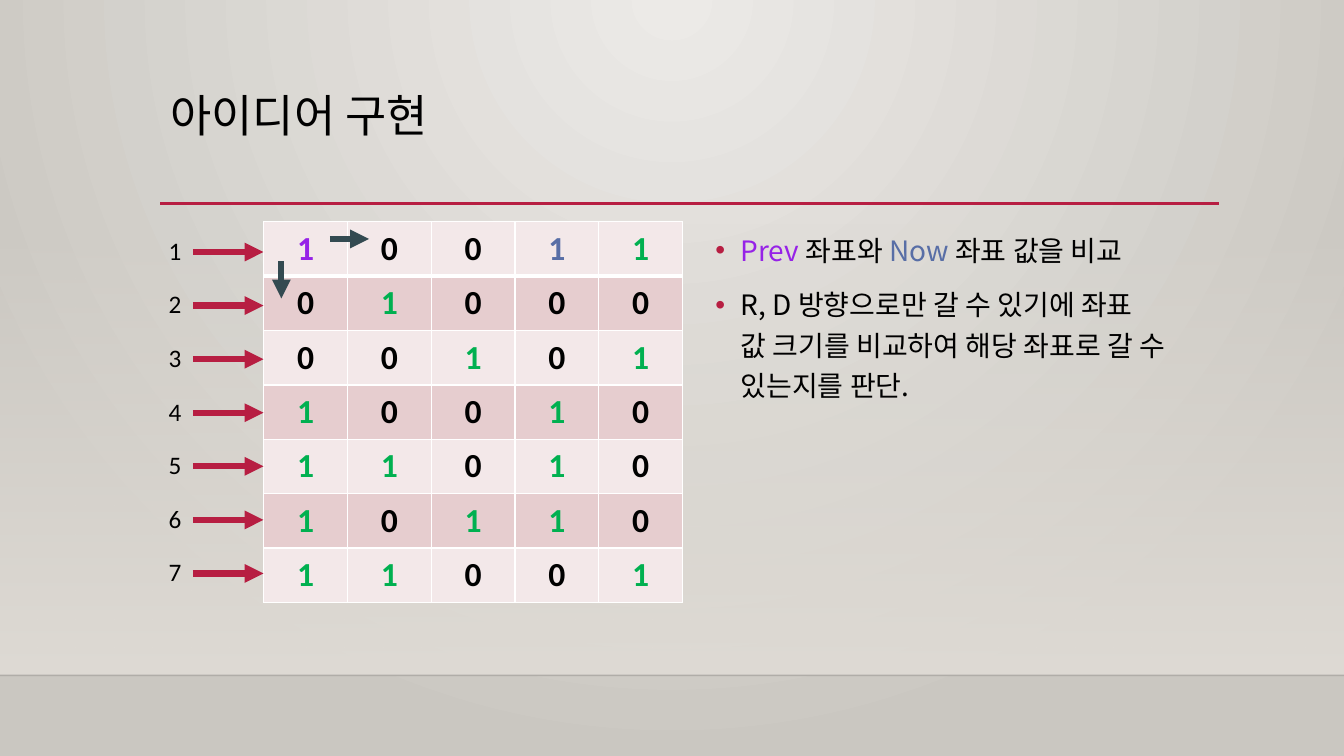
from lxml import etree
from pptx import Presentation
from pptx import util as u
from pptx.dml.color import RGBColor
from pptx.enum import shapes, text
from pptx.oxml.ns import qn

KOREAN, LATIN = "Noto Sans CJK KR", "Calibri"
BLACK, WHITE, RED, SLATE = "000000", "FFFFFF", "B71E42", "334A51"
PURPLE, BLUE, GREEN = "9622E7", "586EA6", "00B050"
PALE, ROSE = "F3E8E9", "E6CDCF"
MAZE = ["10011", "01000", "00101", "10010", "11010", "10110", "11001"]
MARKED = {(0, 0): PURPLE, (0, 3): BLUE}
NOTES = [
    [("Prev ", PURPLE), ("좌표와 ", BLACK), ("Now ", BLUE), ("좌표 값을 비교", BLACK)],
    [("R, D 방향으로만 갈 수 있기에 좌표", BLACK), None,
     ("값 크기를 비교하여 해당 좌표로 갈 수 있는지를 판단.", BLACK)],
]


def rgb(color):
    return RGBColor.from_string(color)


def sub(parent, tag, **attrs):
    el = etree.SubElement(parent, qn(tag))
    for name, value in attrs.items():
        el.set(name, str(value))
    return el


def add_run(p, words, size, font, color, bold=False):
    r = p.add_run()
    r.text = words
    r.font.size = u.Pt(size)
    r.font.name = font
    r.font.bold = bold
    r.font.color.rgb = rgb(color)
    sub(r.font._element, "a:ea", typeface=font)


def set_gradient(fill, stops):
    fill.gradient()
    grad = fill._xPr.find(qn("a:gradFill"))
    for child in list(grad):
        grad.remove(child)
    gs_lst = sub(grad, "a:gsLst")
    for pos, color, alpha in stops:
        gs = sub(gs_lst, "a:gs", pos=pos * 1000)
        clr = sub(gs, "a:srgbClr", val=color)
        sub(clr, "a:alpha", val=alpha * 1000)
    return grad


def add_backdrop(s):
    grad = set_gradient(s.background.fill, [(0, "ECEAE7", 100), (100, "CAC7C1", 100)])
    circle = sub(grad, "a:path", path="circle")
    sub(circle, "a:fillToRect", l=43000, t=0, r=43000, b=100000)
    sp = s.shapes.add_shape(shapes.MSO_SHAPE.RECTANGLE, 0, u.Cm(5.61), u.Cm(33.87), u.Cm(11.41))
    sp.shadow.inherit = False
    sp.line.fill.background()
    grad = set_gradient(sp.fill, [(0, "DFDBD5", 0), (100, "DFDBD5", 100)])
    sub(grad, "a:lin", ang=90 * 60000, scaled=0)


def add_line(s, x1, y1, x2, y2, color, width, arrow=False, alpha=None):
    cx = s.shapes.add_connector(shapes.MSO_CONNECTOR.STRAIGHT,
                                u.Cm(x1), u.Cm(y1), u.Cm(x2), u.Cm(y2))
    cx.line.color.rgb = rgb(color)
    cx.line.width = u.Pt(width)
    ln = cx.line._get_or_add_ln()
    if alpha:
        sub(ln.find(".//" + qn("a:srgbClr")), "a:alpha", val=alpha * 1000)
    if arrow:
        sub(ln, "a:tailEnd", type="triangle")
    sub(cx._element.spPr, "a:effectLst")


def set_title(s, words):
    sp = s.shapes.title
    sp.left, sp.top, sp.width, sp.height = u.Cm(4.04), u.Cm(2.24), u.Cm(26.67), u.Cm(2.92)
    tf = sp.text_frame
    tf.auto_size = text.MSO_AUTO_SIZE.NONE
    tf.vertical_anchor = text.MSO_ANCHOR.TOP
    p = tf.paragraphs[0]
    p.alignment = text.PP_ALIGN.LEFT
    p.line_spacing = 0.9
    add_run(p, words, 32, KOREAN, BLACK)


def add_notes(s, notes):
    tf = s.shapes.add_textbox(u.Cm(17.78), u.Cm(5.59), u.Cm(12.93), u.Cm(9.58)).text_frame
    tf.word_wrap = True
    for i, note in enumerate(notes):
        p = tf.add_paragraph() if i else tf.paragraphs[0]
        p.line_spacing = 1.2
        p.space_before = u.Pt(10)
        pPr = p._p.get_or_add_pPr()
        pPr.set("marL", str(u.Inches(0.25)))
        pPr.set("indent", str(-u.Inches(0.25)))
        sub(sub(pPr, "a:buClr"), "a:srgbClr", val=RED)
        sub(pPr, "a:buFont", typeface="Arial")
        sub(pPr, "a:buChar", char="•")
        for piece in note:
            if piece is None:
                p.add_line_break()
            else:
                add_run(p, piece[0], 20, KOREAN, piece[1])


def set_borders(cell, top, bottom):
    tcPr = cell._tc.get_or_add_tcPr()
    for side, width in (("L", 1), ("R", 1), ("T", top), ("B", bottom)):
        ln = sub(tcPr, "a:ln" + side, w=u.Pt(width))
        sub(sub(ln, "a:solidFill"), "a:srgbClr", val=WHITE)


def add_maze(s, maze):
    rows, cols = len(maze), len(maze[0])
    tbl = s.shapes.add_table(rows, cols, u.Cm(6.65), u.Cm(5.59),
                             u.Cm(2.11 * cols), u.Cm(1.37 * rows)).table
    tbl.first_row = tbl.horz_banding = False
    for i, digits in enumerate(maze):
        for j, digit in enumerate(digits):
            cell = tbl.cell(i, j)
            set_borders(cell, 3 if i == 1 else 1, 3 if i == 0 else 1)
            cell.fill.solid()
            cell.fill.fore_color.rgb = rgb(ROSE if i % 2 else PALE)
            cell.margin_left = cell.margin_right = u.Cm(0.33)
            cell.margin_top = cell.margin_bottom = u.Cm(0.17)
            p = cell.text_frame.paragraphs[0]
            p.alignment = text.PP_ALIGN.CENTER
            color = MARKED.get((i, j), GREEN if digit == "1" else BLACK)
            add_run(p, digit, 24, LATIN, color, bold=True)


def add_row_label(s, words, top):
    tf = s.shapes.add_textbox(u.Cm(4), u.Cm(top), u.Cm(0.84), u.Cm(1.02)).text_frame
    tf.word_wrap = False
    tf.auto_size = text.MSO_AUTO_SIZE.SHAPE_TO_FIT_TEXT
    add_run(tf.paragraphs[0], words, 18, LATIN, BLACK)


def main():
    prs = Presentation()
    prs.slide_width, prs.slide_height = u.Cm(33.87), u.Cm(19.05)
    s = prs.slides.add_slide(prs.slide_layouts[5])
    add_backdrop(s)
    add_line(s, 0, 17.02, 33.87, 17.02, BLACK, 1, alpha=20)
    add_line(s, 4.04, 5.13, 30.73, 5.13, RED, 2.5)
    set_title(s, "아이디어 구현")
    add_notes(s, NOTES)
    add_maze(s, MAZE)
    for i in range(len(MAZE)):
        offset = 1.35 * i
        add_line(s, 4.86, 6.35 + offset, 6.64, 6.35 + offset, RED, 4.5, arrow=True)
        add_row_label(s, str(i + 1), 5.8 + offset)
    add_line(s, 8.31, 6.02, 9.3, 6.02, SLATE, 4.5, arrow=True)
    add_line(s, 7.09, 6.58, 7.09, 7.52, SLATE, 4.5, arrow=True)
    prs.save("out.pptx")


if __name__ == "__main__":
    main()
